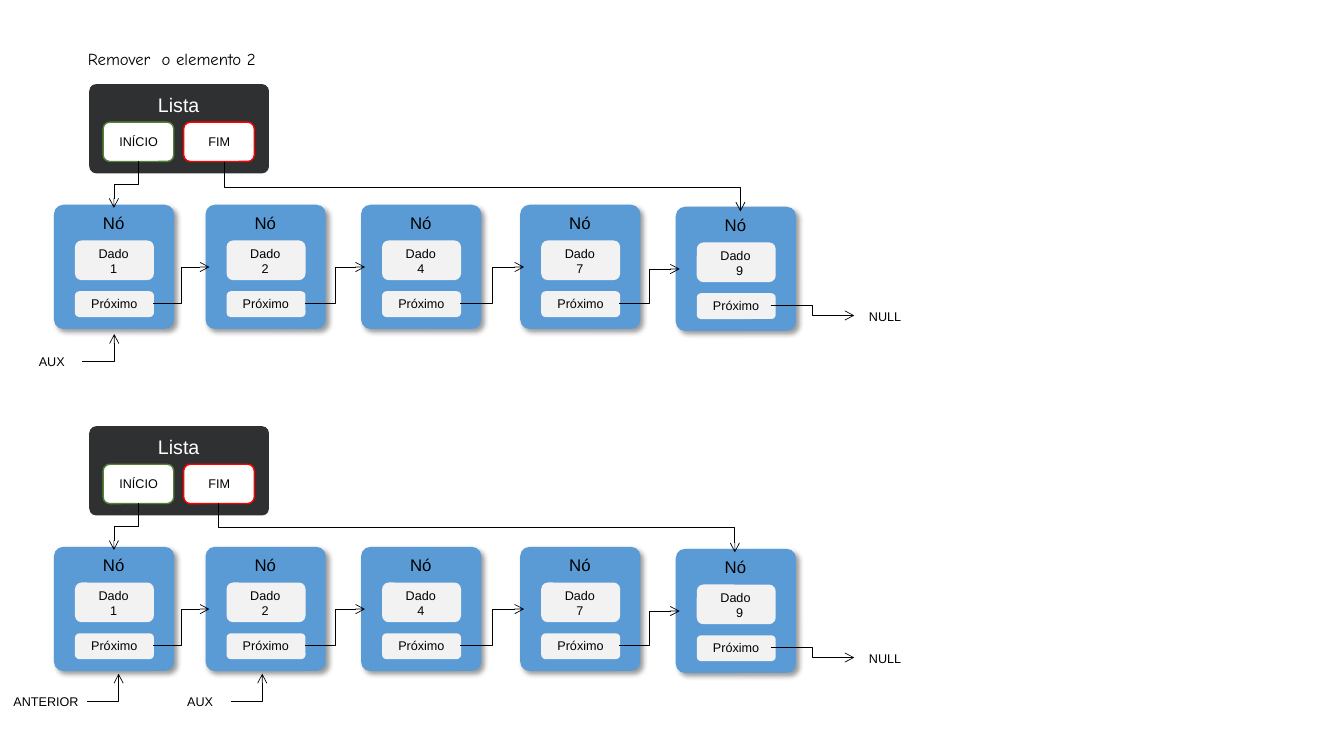
"""Builds a slide showing two steps of removing an element from a linked list."""
from lxml import etree
from pptx import Presentation
from pptx.dml.color import RGBColor
from pptx.enum.shapes import MSO_CONNECTOR, MSO_SHAPE
from pptx.enum.text import MSO_ANCHOR, MSO_AUTO_SIZE, PP_ALIGN
from pptx.oxml.ns import qn
from pptx.util import Cm, Pt

ROUNDED = MSO_SHAPE.ROUNDED_RECTANGLE
ELBOW = MSO_CONNECTOR.ELBOW
TOP = MSO_ANCHOR.TOP
GROW = MSO_AUTO_SIZE.SHAPE_TO_FIT_TEXT
LEFT, CENTER = PP_ALIGN.LEFT, PP_ALIGN.CENTER

BLACK, WHITE, RED, GREEN = "000000", "FFFFFF", "FF0000", "548235"
NODE_BLUE, FIELD_GRAY, LIST_GRAY = "5B9BD5", "F2F2F2", "2F3031"

NODE_LEFTS = [1.36, 5.18, 9.1, 13.11, 17.03]
NODE_VALUES = ["1", "2", "4", "7", "9"]
NODE_TOP = 5.16
LAST_NODE_DROP = 0.05
LIST_FIELDS = [("FIM", 4.63, RED), ("INÍCIO", 2.6, GREEN)]

STEPS = [
    {"top": 0, "end_link": (5.65, 4.09),
     "pointers": [("AUX", 0.53, 1.55, 2.08, 8.79)]},
    {"top": 8.62, "end_link": (5.51, 4.06),
     "pointers": [("AUX", 4.27, 1.55, 5.81, 8.73),
                  ("ANTERIOR", 0, 2.32, 2.19, 8.73)]},
]


def add_box(shapes, box, fill, line=None, corner=0.1667):
    shape = shapes.add_shape(ROUNDED, *map(Cm, box))
    shape.adjustments[0] = corner
    shape.shadow.inherit = False
    shape.fill.solid()
    shape.fill.fore_color.rgb = RGBColor.from_string(fill)
    if line:
        shape.line.color.rgb = RGBColor.from_string(line)
        shape.line.width = Pt(1)
    else:
        shape.line.fill.background()
    return shape


def add_label(shapes, box, text, size=9, color=BLACK):
    shape = shapes.add_textbox(*map(Cm, box))
    frame = shape.text_frame
    frame_format = {"word_wrap": True, "auto_size": GROW,
                    "margin_left": 0, "margin_right": 0}
    for name, value in frame_format.items():
        setattr(frame, name, value)
    paragraph = frame.paragraphs[0]
    paragraph.text = text
    paragraph.alignment = CENTER
    for name, value in {"name": "Arial", "size": Pt(size)}.items():
        setattr(paragraph.font, name, value)
    paragraph.font.color.rgb = RGBColor.from_string(color)


presentation = Presentation()
presentation.slide_width = Cm(33.87)
presentation.slide_height = Cm(19.05)
slide = presentation.slides.add_slide(presentation.slide_layouts[5])

title = slide.shapes.title
title_place = {"left": Cm(1.96), "top": Cm(1.09), "width": Cm(4.95), "height": Cm(0.77)}
for name, value in title_place.items():
    setattr(title, name, value)
title_frame_format = {"text": "Remover  o elemento 2", "word_wrap": True,
                      "auto_size": GROW, "vertical_anchor": TOP}
for name, value in title_frame_format.items():
    setattr(title.text_frame, name, value)
title_paragraph = title.text_frame.paragraphs[0]
title_paragraph.alignment = LEFT
for name, value in {"name": "Comic Neue", "size": Pt(12)}.items():
    setattr(title_paragraph.font, name, value)
title_paragraph.font.color.rgb = RGBColor.from_string(BLACK)

links = []
for step in STEPS:
    step_top = step["top"]

    list_shapes = slide.shapes.add_group_shape().shapes
    add_box(list_shapes, (2.25, step_top + 2.12, 4.53, 2.25), LIST_GRAY, corner=0.078)
    for text, left, color in LIST_FIELDS:
        add_box(list_shapes, (left, step_top + 3.08, 1.78, 0.99), WHITE, color)
        add_label(list_shapes, (left + 0.1, step_top + 3.24, 1.59, 0.64), text)
    add_label(list_shapes, (3.63, step_top + 2.21, 1.75, 0.85), "Lista", 14, WHITE)

    node_tops = [step_top + NODE_TOP] * 4 + [step_top + NODE_TOP + LAST_NODE_DROP]
    nodes = list(zip(NODE_LEFTS, node_tops))
    for (left, top), value in zip(nodes, NODE_VALUES):
        node_shapes = slide.shapes.add_group_shape().shapes
        node = add_box(node_shapes, (left, top, 3.03, 3.13), NODE_BLUE, corner=0.078)
        effects = node._element.spPr.find(qn("a:effectLst"))
        shadow = etree.SubElement(effects, qn("a:outerShdw"), blurRad="50800",
                                  dist="38100", dir="2700000", algn="tl", rotWithShape="0")
        shadow_color = etree.SubElement(shadow, qn("a:srgbClr"), val=BLACK)
        etree.SubElement(shadow_color, qn("a:alpha"), val="40000")
        add_label(node_shapes, (left + 0.96, top + 0.08, 1.09, 0.77), "Nó", 12)
        add_box(node_shapes, (left + 0.53, top + 2.18, 1.99, 0.65), FIELD_GRAY)
        add_label(node_shapes, (left + 0.63, top + 2.18, 1.78, 0.64), "Próximo")
        add_box(node_shapes, (left + 0.53, top + 0.9, 1.99, 1), FIELD_GRAY)
        add_label(node_shapes, (left + 0.82, top + 0.9, 1.37, 0.64), "Dado")
        value_width = 0.9 if value == NODE_VALUES[-1] else 0.69
        add_label(node_shapes, (left + 1.16, top + 1.3, value_width, 0.64), value)

    add_label(slide.shapes, (21.53, step_top + 7.65, 1.55, 0.64), "NULL")

    for (left, top), (next_left, next_top) in zip(nodes, nodes[1:]):
        links.append(("across", left + 2.5, top + 2.49, next_left + 0.1, next_top + 1.57))
    links.append(("across", 19.42, step_top + 7.7, 21.53, step_top + 7.95))
    links.append(("down", 3.48, step_top + 4.06, 2.87, step_top + 5.24))
    end_left, end_top = step["end_link"]
    links.append(("down", end_left, step_top + end_top,
                  end_left + 13.01, step_top + end_top + 1.24))

    for text, left, width, arrow_left, top in step["pointers"]:
        add_label(slide.shapes, (left, step_top + top, width, 0.64), text)
        arrow_top = step_top + top + 0.32
        links.append(("corner", arrow_left, arrow_top, arrow_left + 0.8, arrow_top - 0.69))

for kind, start_x, start_y, end_x, end_y in links:
    ends = start_x, start_y, end_x, end_y
    if kind == "down":
        middle_x, middle_y = (start_x + end_x) / 2, (start_y + end_y) / 2
        half_x, half_y = (end_x - start_x) / 2, (end_y - start_y) / 2
        ends = (middle_x - half_y, middle_y + half_x, middle_x + half_y, middle_y - half_x)
    connector = slide.shapes.add_connector(ELBOW, *map(Cm, ends))
    connector.line.color.rgb = RGBColor.from_string(BLACK)
    connector.line.width = Pt(0.5)
    properties = connector._element.spPr
    if kind == "down":
        properties.find(qn("a:xfrm")).set("rot", "5400000")
    if kind == "corner":
        properties.find(qn("a:prstGeom")).set("prst", "bentConnector2")
    etree.SubElement(properties.find(qn("a:ln")), qn("a:tailEnd"), type="arrow")
    etree.SubElement(properties, qn("a:effectLst"))

presentation.save("out.pptx")
